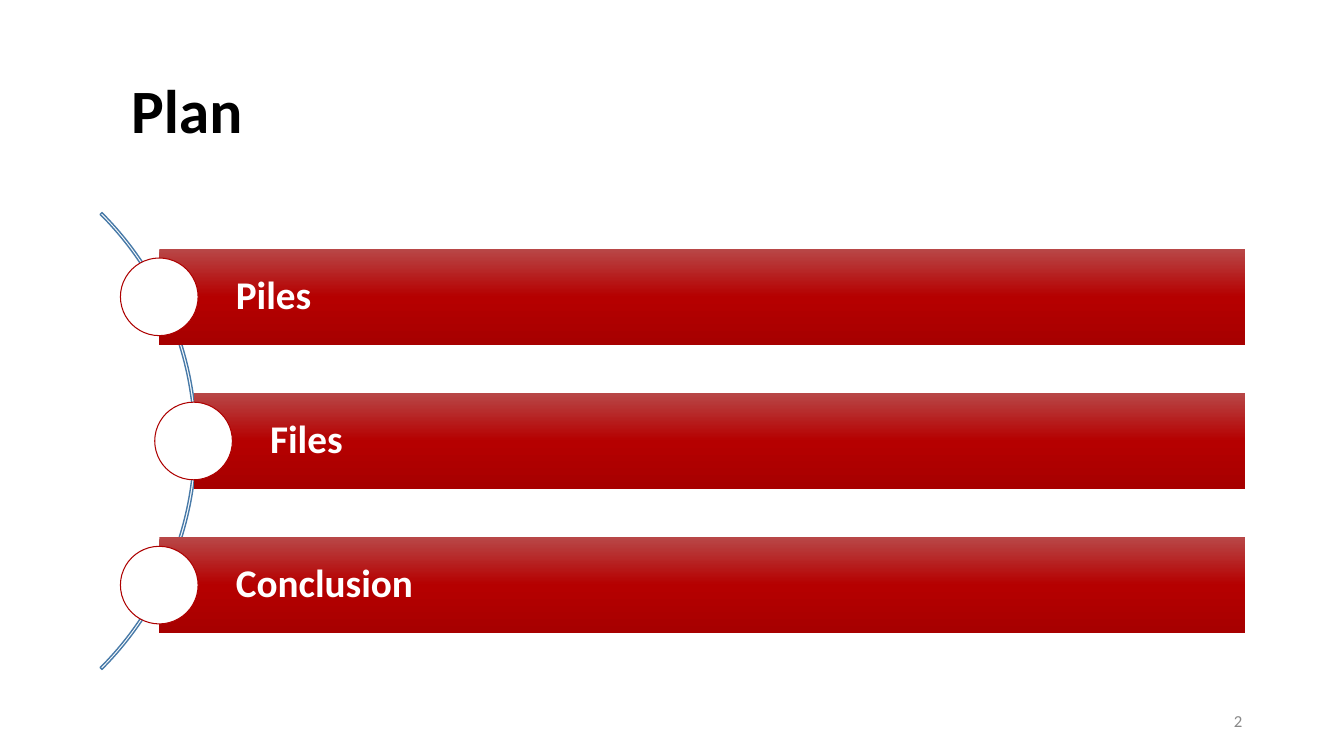
"""Builds the plan slide: a title, three red bars along an arc, and a page number."""
from copy import deepcopy

from pptx import Presentation
from pptx.dml.color import RGBColor
from pptx.enum.shapes import MSO_SHAPE
from pptx.enum.text import MSO_ANCHOR, PP_ALIGN
from pptx.util import Inches, Pt

ARC, RECT, OVAL = MSO_SHAPE.BLOCK_ARC, MSO_SHAPE.RECTANGLE, MSO_SHAPE.OVAL
LEFT, RIGHT, MIDDLE = PP_ALIGN.LEFT, PP_ALIGN.RIGHT, MSO_ANCHOR.MIDDLE
FONT = "Calibri"
BLACK = RGBColor(0x00, 0x00, 0x00)
WHITE = RGBColor(0xFF, 0xFF, 0xFF)
GRAY = RGBColor(0x88, 0x88, 0x88)
BLUE = RGBColor(0x48, 0x7A, 0xA8)
RED = RGBColor(0xAD, 0x00, 0x00)
SHADES = (RGBColor(0xB8, 0x47, 0x47), RGBColor(0xB5, 0x00, 0x00), RGBColor(0xA7, 0x00, 0x00))
TOPICS = ("Piles", "Files", "Conclusion")


def write(shape, text, size, color, bold=False, align=LEFT, space=1.0, pad=(0.1, 0.05, 0.1, 0.05)):
    """Put one formatted paragraph into a shape."""
    frame = shape.text_frame
    frame.word_wrap = True
    frame.vertical_anchor = MIDDLE
    frame.margin_left, frame.margin_top, frame.margin_right, frame.margin_bottom = map(Inches, pad)
    para = frame.paragraphs[0]
    para.alignment, para.line_spacing = align, space
    run = para.add_run()
    run.text = text
    font = run.font
    font.name, font.size, font.bold = FONT, Pt(size), bold
    font.color.rgb = color


def add_text(slide, box, text, **style):
    """Add a text box with formatted text."""
    write(slide.shapes.add_textbox(*map(Inches, box)), text, **style)


def add_form(slide, kind, box, line=None, width=1):
    """Add a preset shape without shadow, outlined only if a line colour is given."""
    form = slide.shapes.add_shape(kind, *map(Inches, box))
    form.shadow.inherit = False
    if line is None:
        form.line.fill.background()
    else:
        form.line.color.rgb = line
        form.line.width = Pt(width)
    return form


def shade(form):
    """Fill a shape with the red gradient from top to bottom."""
    fill = form.fill
    fill.gradient()
    fill.gradient_angle = 270
    first = form._element.spPr.gradFill.gsLst[0]
    first.addnext(deepcopy(first))
    for i, (stop, color) in enumerate(zip(fill.gradient_stops, SHADES)):
        stop.position = i / (len(SHADES) - 1)
        stop.color.rgb = color


def add_arc(slide, box):
    """Add the thin arc that links the topics."""
    arc = add_form(slide, ARC, box, line=BLUE)
    arc.fill.background()
    for i, value in enumerate((189, 27, 0.004)):
        arc.adjustments[i] = value


def add_topic(slide, box, text):
    """Add a topic bar with a disc centred on its left edge."""
    left, top, _, height = box
    bar = add_form(slide, RECT, box)
    shade(bar)
    write(bar, text, size=28, color=WHITE, bold=True, space=0.9, pad=(0.76, 0.08, 0.08, 0.08))
    size = 0.77
    spot = (left - size / 2, top + (height - size) / 2, size, size)
    disc = add_form(slide, OVAL, spot, line=RED, width=0.75)
    disc.fill.solid()
    disc.fill.fore_color.rgb = WHITE


def add_plan(slide, box):
    """Add the arc and the evenly spaced topics in a box."""
    left, top, width, height = box
    size, bar, step, shift = 6.41, 0.95, 1.43, 0.34
    add_arc(slide, (left + shift + 0.03 - size, top + (height - size) / 2, size, size))
    for i, topic in enumerate(TOPICS):
        inset = shift * (1 - abs(i - 1))
        add_topic(slide, (left + inset, top + i * step, width - inset, bar), topic)


def main():
    """Build and save the slide."""
    deck = Presentation()
    deck.slide_width, deck.slide_height = Inches(13.33), Inches(7.5)
    slide = deck.slides.add_slide(deck.slide_layouts[6])
    add_text(slide, (0.92, 0.4, 11.5, 1.45), "Plan", size=44, color=BLACK, bold=True,
             space=0.9, pad=(0.38, 0.05, 0.1, 0.05))
    add_plan(slide, (1.58, 2.47, 10.77, 3.81))
    add_text(slide, (9.42, 6.95, 3, 0.4), "2", size=12, color=GRAY, align=RIGHT)
    deck.save("out.pptx")


if __name__ == "__main__":
    main()
